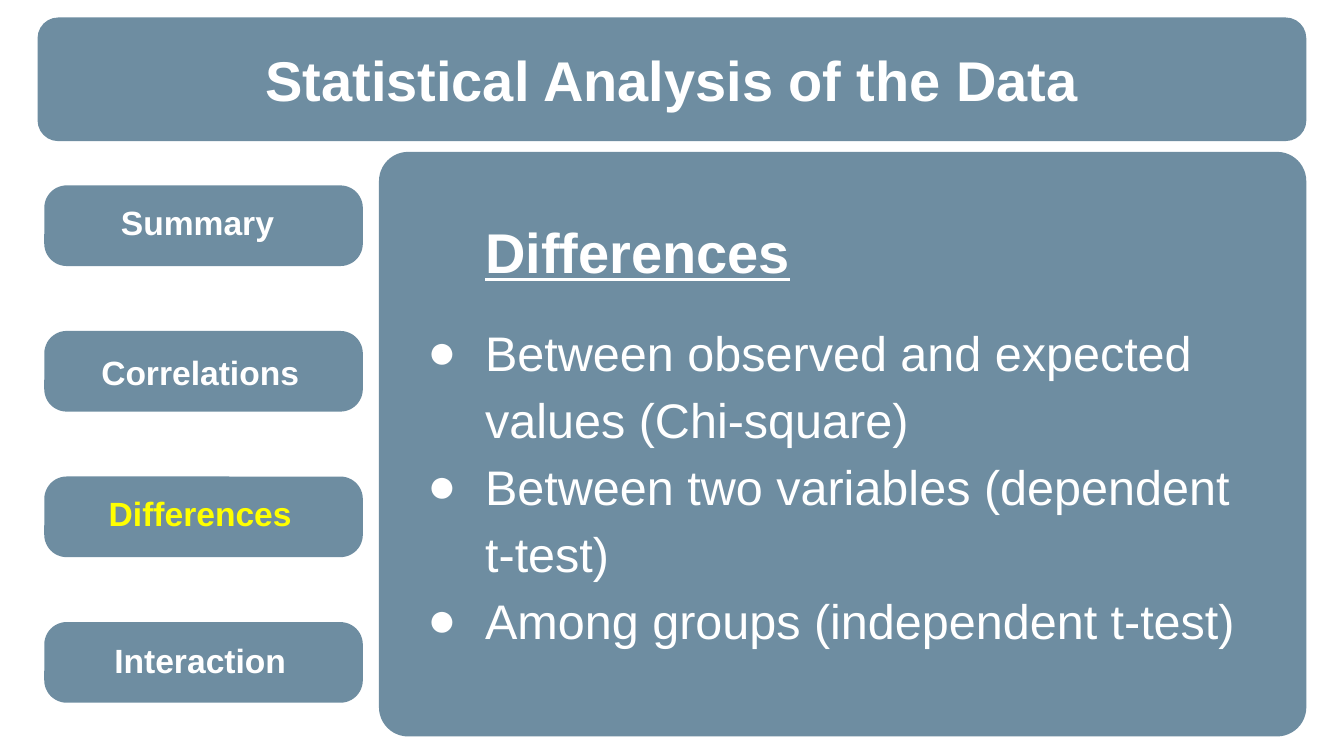
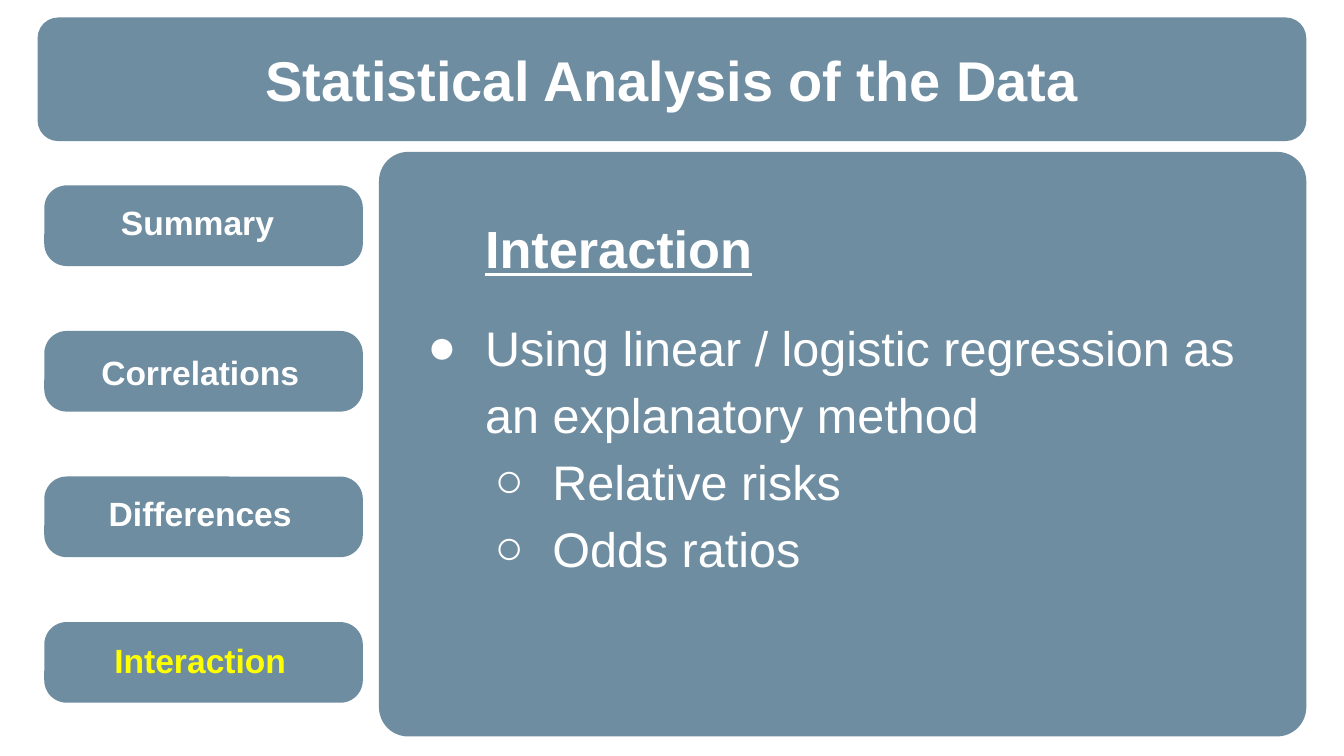
from lxml import etree
from pptx import Presentation
from pptx.dml.color import RGBColor
from pptx.enum.shapes import MSO_SHAPE
from pptx.enum.text import MSO_ANCHOR, MSO_AUTO_SIZE, PP_ALIGN
from pptx.oxml.ns import qn
from pptx.util import Inches, Pt

ROUNDED = MSO_SHAPE.ROUNDED_RECTANGLE
SLANTED = MSO_SHAPE.PARALLELOGRAM
TOP, MIDDLE = MSO_ANCHOR.TOP, MSO_ANCHOR.MIDDLE
LEFT, CENTER = PP_ALIGN.LEFT, PP_ALIGN.CENTER
NO_AUTOFIT = MSO_AUTO_SIZE.NONE

WHITE = RGBColor(0xFF, 0xFF, 0xFF)
YELLOW = RGBColor(0xFF, 0xFF, 0x00)
SLATE = RGBColor(0x21, 0x51, 0x70)
SLATE_OPACITY = 65

FONT = "Arial"
WIDTH, HEIGHT = Inches(10), Inches(5.625)
GRID = WIDTH / 100  # square grid: 100 columns by 56.25 rows

# Boxes are left, top, width, height in grid cells.
TITLE_BAND = (2.8, 1.3, 94.4, 9.2)
CONTENT_PANEL = (28.2, 11.3, 69, 43.5)
TITLE_BOX = (3.3, 2.9, 93.4, 6)
BODY_BOX = (30.1, 14.4, 65.1, 39.2)
TAB_TOP, TAB_STEP = 13.8, 10.83
TAB_LABELS = {
    "Summary": (3.1, 13.9, 23.2, 5.2),
    "Correlations": (3, 24.7, 23.8, 6),
    "Differences": (3, 35.2, 23.8, 6),
    "Interaction": (3, 46.5, 23.8, 5.2),
}

TITLE = "Statistical Analysis of the Data"
BULLETS = "●○"
# Heading, its size, and the list as (level, text).
TOPICS = [
    ("Differences", 30, [
        (0, "Between observed and expected values (Chi-square)"),
        (0, "Between two variables (dependent t-test)"),
        (0, "Among groups (independent t-test)"),
    ]),
    ("Interaction", 28, [
        (0, "Using linear / logistic regression as an explanatory method"),
        (1, "Relative risks"),
        (1, "Odds ratios"),
    ]),
]


def set_all(target, values):
    for name, value in values.items():
        setattr(target, name, value)


def to_grid(box):
    return [round(cells * GRID) for cells in box]


class Deck:
    def __init__(self):
        self.presentation = Presentation()
        set_all(self.presentation, {"slide_width": WIDTH, "slide_height": HEIGHT})
        self.layout = self.presentation.slide_layouts[1]
        self.slide = None
        self.remove_footers()

    def remove_footers(self):
        for owner in (self.layout, self.presentation.slide_master):
            for shape in list(owner.placeholders)[2:]:
                shape.element.getparent().remove(shape.element)

    def new_slide(self):
        self.slide = self.presentation.slides.add_slide(self.layout)

    def shape(self, kind, box, adjustment):
        shape = self.slide.shapes.add_shape(kind, *to_grid(box))
        shape.adjustments[0] = adjustment
        shape.shadow.inherit = False
        shape.fill.background()
        shape.line.fill.background()
        return shape

    def panel(self, box, rounding):
        """Add a translucent rounded panel to the layout, behind every slide."""
        shape = self.shape(ROUNDED, box, rounding)
        shape.fill.solid()
        shape.fill.fore_color.rgb = SLATE
        color = next(shape.element.iter(qn("a:srgbClr")))
        etree.SubElement(color, qn("a:alpha"), val=str(SLATE_OPACITY * 1000))
        self.layout.shapes.element.append(shape.element)
        return shape

    def frame(self, shape, anchor):
        margins = {f"margin_{side}": Inches(0.1)
                   for side in ("left", "top", "right", "bottom")}
        set_all(shape.text_frame, {"word_wrap": True, "auto_size": NO_AUTOFIT,
                                   "vertical_anchor": anchor, **margins})
        return shape.text_frame

    def place(self, placeholder, box):
        set_all(placeholder, dict(zip(("left", "top", "width", "height"), to_grid(box))))

    def add_text(self, paragraph, text, size, color=WHITE, align=CENTER, **style):
        run = paragraph.add_run()
        run.text = text
        set_all(run.font, {"name": FONT, "size": Pt(size), **style})
        run.font.color.rgb = color
        set_all(paragraph, {"alignment": align, "space_before": Pt(0)})

    def title(self, text):
        placeholder = self.slide.shapes.title
        self.place(placeholder, TITLE_BOX)
        frame = self.frame(placeholder, MIDDLE)
        self.add_text(frame.paragraphs[0], text, 30, bold=True)

    def label(self, text, box, color):
        frame = self.frame(self.shape(SLANTED, box, 0.25), MIDDLE)
        self.add_text(frame.paragraphs[0], text, 18, color, bold=True)

    def indent(self, paragraph, level, bullet=None):
        """Set indents and bullet; comes after spacing, as the schema orders it."""
        paragraph.level = level
        properties = paragraph._p.get_or_add_pPr()
        properties.set("marL", str(Inches(0.5 * (level + 1))))
        properties.set("indent", str(Inches(-0.43 if bullet else 0)))
        if not bullet:
            etree.SubElement(properties, qn("a:buNone"))
            return
        color = etree.SubElement(properties, qn("a:buClr"))
        etree.SubElement(color, qn("a:srgbClr"), val=str(WHITE))
        etree.SubElement(properties, qn("a:buFont"), typeface=FONT)
        etree.SubElement(properties, qn("a:buChar"), char=bullet)

    def body(self, heading, heading_size, items):
        placeholder = self.slide.placeholders[1]
        self.place(placeholder, BODY_BOX)
        frame = self.frame(placeholder, TOP)
        paragraph = frame.paragraphs[0]
        self.add_text(paragraph, heading, heading_size, align=LEFT,
                      bold=True, underline=True)
        paragraph.line_spacing = 1.15
        self.indent(paragraph, 0)
        for number, (level, text) in enumerate(items):
            paragraph = frame.add_paragraph()
            self.add_text(paragraph, text, 26, align=LEFT, bold=False, underline=False)
            set_all(paragraph, {"line_spacing": 1.15,
                                "space_before": Pt(0 if number else 16)})
            self.indent(paragraph, level, BULLETS[level])


def add_panels(deck):
    panels = [(TITLE_BAND, 0.167), (CONTENT_PANEL, 0.05)]
    panels += [((3.3, TAB_TOP + TAB_STEP * row, 23.7, 6), 0.278)
               for row in range(len(TAB_LABELS))]
    for number, (box, rounding) in enumerate(panels):
        shape = deck.panel(box, rounding)
        shape.element.nvSpPr.cNvPr.set("id", str(10 + number))


def main():
    deck = Deck()
    for number, (heading, heading_size, items) in enumerate(TOPICS):
        deck.new_slide()
        if number == 0:
            add_panels(deck)
        deck.body(heading, heading_size, items)
        deck.title(TITLE)
        for text, box in TAB_LABELS.items():
            deck.label(text, box, YELLOW if text == heading else WHITE)
    deck.presentation.save("out.pptx")


if __name__ == "__main__":
    main()
